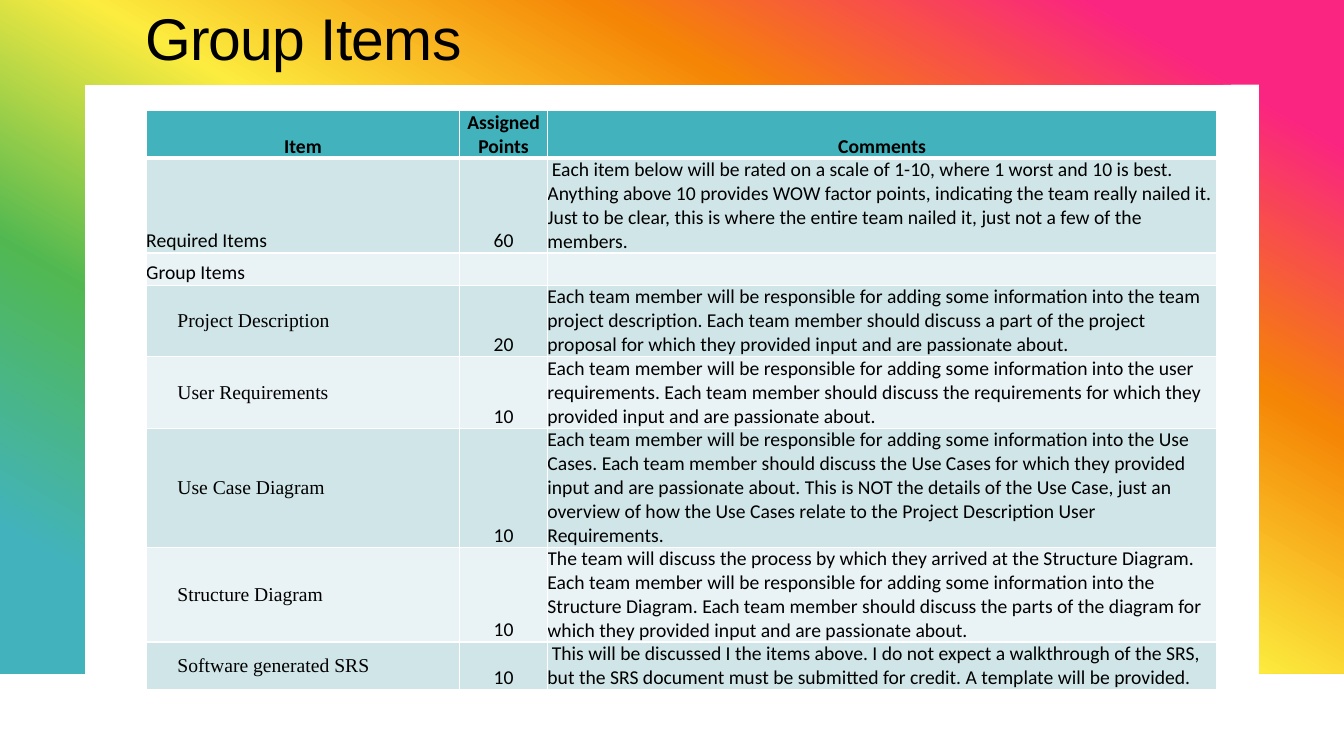
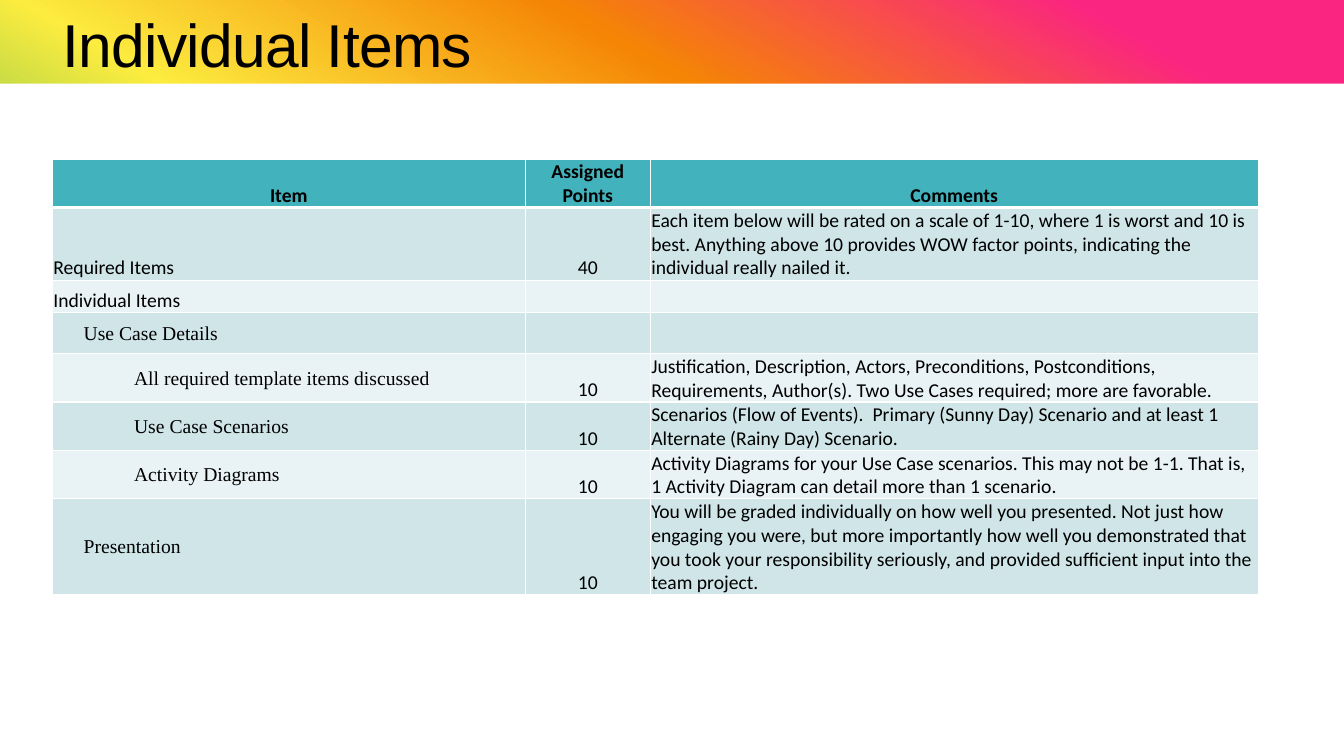
from lxml import etree
from pptx import Presentation
from pptx.dml.color import RGBColor
from pptx.enum.shapes import MSO_SHAPE
from pptx.enum.text import MSO_ANCHOR, PP_ALIGN
from pptx.oxml import parse_xml
from pptx.oxml.ns import nsdecls, qn
from pptx.util import Inches, Pt

COLORS = {
    "white": "FFFFFF", "black": "000000",
    "header": "42B3BD", "band_dark": "CFE5E8", "band_light": "E9F2F4",
}
RAINBOW = [(10, "FA2481"), (30, "F58505"), (50, "FCEC3F"), (70, "51B851"), (90, "42B3BD")]
RAINBOW_ANGLE = 120
SLIDE_W, SLIDE_H = 13.33, 7.5
TITLE_FONT, BODY_FONT, ITEM_FONT = "Arial", "Calibri", "Times New Roman"
BODY_SIZE = 14
ITEM_INSET, SUBITEM_INDENT = 0.31, 0.5
HEADERS = ("Item", "Assigned Points", "Comments")

# Each row: height, indent level, item, points, comment
GROUP_ROWS = [
    (0.94, 0, "Required Items", "60",
     " Each item below will be rated on a scale of 1-10, where 1 worst and 10 is best. "
     "Anything above 10 provides WOW factor points, indicating the team really nailed it. "
     "Just to be clear, this is where the entire team nailed it, just not a few of the members."),
    (0.32, 0, "Group Items", "", ""),
    (0.71, 1, "Project Description", "20",
     "Each team member will be responsible for adding some information into the team project "
     "description. Each team member should discuss a part of the project proposal for which "
     "they provided input and are passionate about."),
    (0.71, 1, "User Requirements", "10",
     "Each team member will be responsible for adding some information into the user "
     "requirements. Each team member should discuss the requirements for which they provided "
     "input and are passionate about."),
    (1.18, 1, "Use Case Diagram", "10",
     "Each team member will be responsible for adding some information into the Use Cases. "
     "Each team member should discuss the Use Cases for which they provided input and are "
     "passionate about. This is NOT the details of the Use Case, just an overview of how the "
     "Use Cases relate to the Project Description User Requirements."),
    (0.94, 1, "Structure Diagram", "10",
     "The team will discuss the process by which they arrived at the Structure Diagram. Each "
     "team member will be responsible for adding some information into the Structure Diagram. "
     "Each team member should discuss the parts of the diagram for which they provided input "
     "and are passionate about."),
    (0.47, 1, "Software generated SRS", "10",
     " This will be discussed I the items above. I do not expect a walkthrough of the SRS, but "
     "the SRS document must be submitted for credit. A template will be provided."),
]
INDIVIDUAL_ROWS = [
    (0.72, 0, "Required Items", "40",
     "Each item below will be rated on a scale of 1-10, where 1 is worst and 10 is best. "
     "Anything above 10 provides WOW factor points, indicating the individual really nailed it."),
    (0.32, 0, "Individual Items", "", ""),
    (0.41, 1, "Use Case Details", "", ""),
    (0.48, 2, "All required template items discussed", "10",
     "Justification, Description, Actors, Preconditions, Postconditions, Requirements, "
     "Author(s). Two Use Cases required; more are favorable."),
    (0.48, 2, "Use Case Scenarios", "10",
     "Scenarios (Flow of Events).  Primary (Sunny Day) Scenario and at least 1 Alternate "
     "(Rainy Day) Scenario."),
    (0.48, 2, "Activity Diagrams", "10",
     "Activity Diagrams for your Use Case scenarios. This may not be 1-1. That is, 1 Activity "
     "Diagram can detail more than 1 scenario."),
    (0.95, 1, "Presentation", "10",
     "You will be graded individually on how well you presented. Not just how engaging you "
     "were, but more importantly how well you demonstrated that you took your responsibility "
     "seriously, and provided sufficient input into the team project."),
]


def rgb(name):
    return RGBColor.from_string(COLORS[name])


def style_plain(sp, fill):
    sp.shadow.inherit = False
    sp.line.fill.background()
    sp.fill.solid()
    sp.fill.fore_color.rgb = rgb(fill)


def fill_rainbow(sp):
    style_plain(sp, "white")
    stops = "".join(f'<a:gs pos="{pos * 1000}"><a:srgbClr val="{color}"/></a:gs>'
                    for pos, color in RAINBOW)
    gradient = parse_xml(f'<a:gradFill {nsdecls("a")} rotWithShape="1"><a:gsLst>{stops}</a:gsLst>'
                         f'<a:lin ang="{RAINBOW_ANGLE * 60000}" scaled="0"/></a:gradFill>')
    spPr = sp._element.spPr
    spPr.replace(spPr.find(qn("a:solidFill")), gradient)


def add_rect(slide, box):
    return slide.shapes.add_shape(MSO_SHAPE.RECTANGLE, *map(Inches, box))


def add_frame(slide, box, side):
    """Rainbow arch, open at the bottom."""
    x, y, w, h = box
    points = [(x, y), (x + w, y), (x + w, y + h), (x + w - side, y + h),
              (x + w - side, y + side), (x + side, y + side), (x + side, y + h), (x, y + h)]
    points = [(Inches(px), Inches(py)) for px, py in points]
    builder = slide.shapes.build_freeform(*points[0])
    builder.add_line_segments(points[1:], close=True)
    fill_rainbow(builder.convert_to_shape())


def add_top_band(slide, box, band_h):
    """Rainbow over the whole box, with a white panel below the band."""
    x, y, w, h = box
    fill_rainbow(add_rect(slide, box))
    style_plain(add_rect(slide, (x, y + band_h, w, h - band_h)), "white")


def add_run(p, text, font, size, bold=False):
    r = p.add_run()
    r.text = text
    r.font.name, r.font.size, r.font.bold = font, Pt(size), bold
    r.font.color.rgb = rgb("black")
    return r


def add_title(slide, box, text, size, anchor):
    tf = slide.shapes.add_textbox(*map(Inches, box)).text_frame
    tf.word_wrap = True
    tf.vertical_anchor = anchor
    p = tf.paragraphs[0]
    p.line_spacing = 0.95
    r = add_run(p, text, TITLE_FONT, size)
    r.font._element.set("spc", "-50")


def set_borders(cell, top, bottom):
    tcPr = cell._tc.get_or_add_tcPr()
    for i, (tag, width) in enumerate((("lnL", 1), ("lnR", 1), ("lnT", top), ("lnB", bottom))):
        ln = etree.Element(qn(f"a:{tag}"), w=str(Pt(width)))
        fill = etree.SubElement(ln, qn("a:solidFill"))
        etree.SubElement(fill, qn("a:srgbClr"), val=COLORS["white"])
        tcPr.insert(i, ln)


def fill_cell(cell, text, fill, inset, row, col, level=0):
    is_item = col == 0 and level > 0
    cell.fill.solid()
    cell.fill.fore_color.rgb = rgb(fill)
    set_borders(cell, top=3 if row == 1 else 1, bottom=3 if row == 0 else 1)
    cell.margin_left = Inches(ITEM_INSET if is_item else inset)
    cell.margin_right = cell.margin_top = Inches(inset)
    cell.margin_bottom = 0
    cell.vertical_anchor = MSO_ANCHOR.MIDDLE if is_item else MSO_ANCHOR.BOTTOM
    if not text:
        return
    p = cell.text_frame.paragraphs[0]
    p.alignment = PP_ALIGN.CENTER if row == 0 or col == 1 else PP_ALIGN.LEFT
    if is_item and level > 1:
        p.level = level - 1
        pPr = p._p.get_or_add_pPr()
        pPr.set("marL", str(Inches(SUBITEM_INDENT)))
        pPr.set("indent", "0")
    add_run(p, text, ITEM_FONT if is_item else BODY_FONT, BODY_SIZE, bold=row == 0)


def add_points_table(slide, left, top, widths, header_h, rows, inset):
    heights = [header_h] + [row[0] for row in rows]
    table = slide.shapes.add_table(
        len(heights), len(widths), Inches(left), Inches(top),
        Inches(sum(widths)), Inches(sum(heights))).table
    table.first_row = table.horz_banding = False
    for column, width in zip(table.columns, widths):
        column.width = Inches(width)
    for row, height in zip(table.rows, heights):
        row.height = Inches(height)
    # Header
    for j, text in enumerate(HEADERS):
        fill_cell(table.cell(0, j), text, "header", inset, 0, j)
    # Body
    for i, (_, level, *texts) in enumerate(rows, 1):
        band = "band_dark" if i % 2 else "band_light"
        for j, text in enumerate(texts):
            fill_cell(table.cell(i, j), text, band, inset, i, j, level)


def build_group_slide(slide):
    add_frame(slide, (0, 0, SLIDE_W, 6.68), 0.84)
    add_title(slide, (1.34, 0, 10, 0.81), "Group Items", 42, MSO_ANCHOR.MIDDLE)
    add_points_table(slide, 1.45, 1.1, (3.11, 0.87, 6.64), 0.47, GROUP_ROWS, 0)


def build_individual_slide(slide):
    add_top_band(slide, (0, 0, SLIDE_W, SLIDE_H), 0.83)
    add_title(slide, (0.52, 0.24, 11.67, 0.62), "Individual Items", 43.2, MSO_ANCHOR.BOTTOM)
    add_points_table(slide, 0.52, 1.58, (4.69, 1.24, 6.03), 0.48, INDIVIDUAL_ROWS, 0.01)


def main():
    prs = Presentation()
    prs.slide_width, prs.slide_height = Inches(SLIDE_W), Inches(SLIDE_H)
    for build in (build_group_slide, build_individual_slide):
        build(prs.slides.add_slide(prs.slide_layouts[6]))
    prs.save("out.pptx")


if __name__ == "__main__":
    main()
